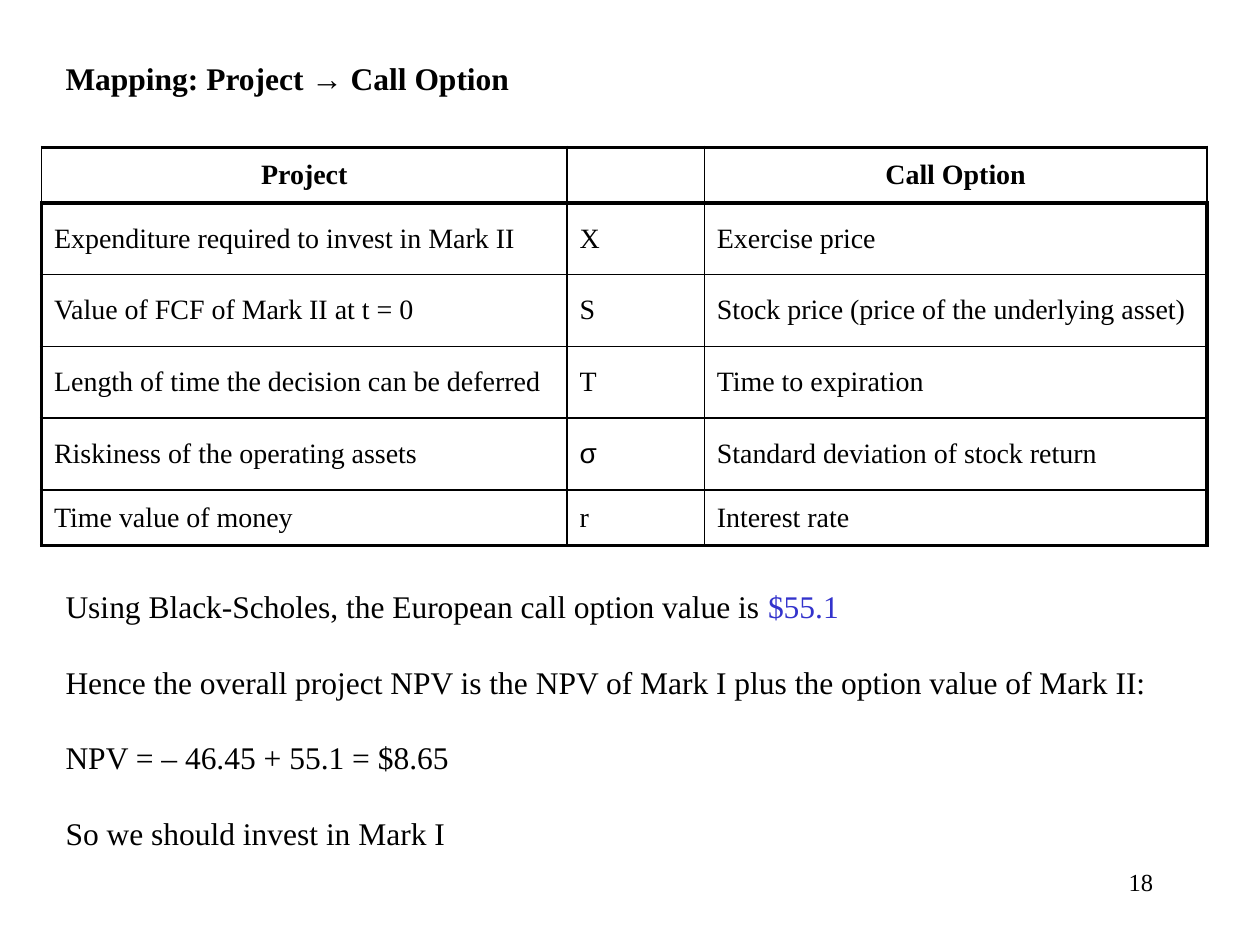
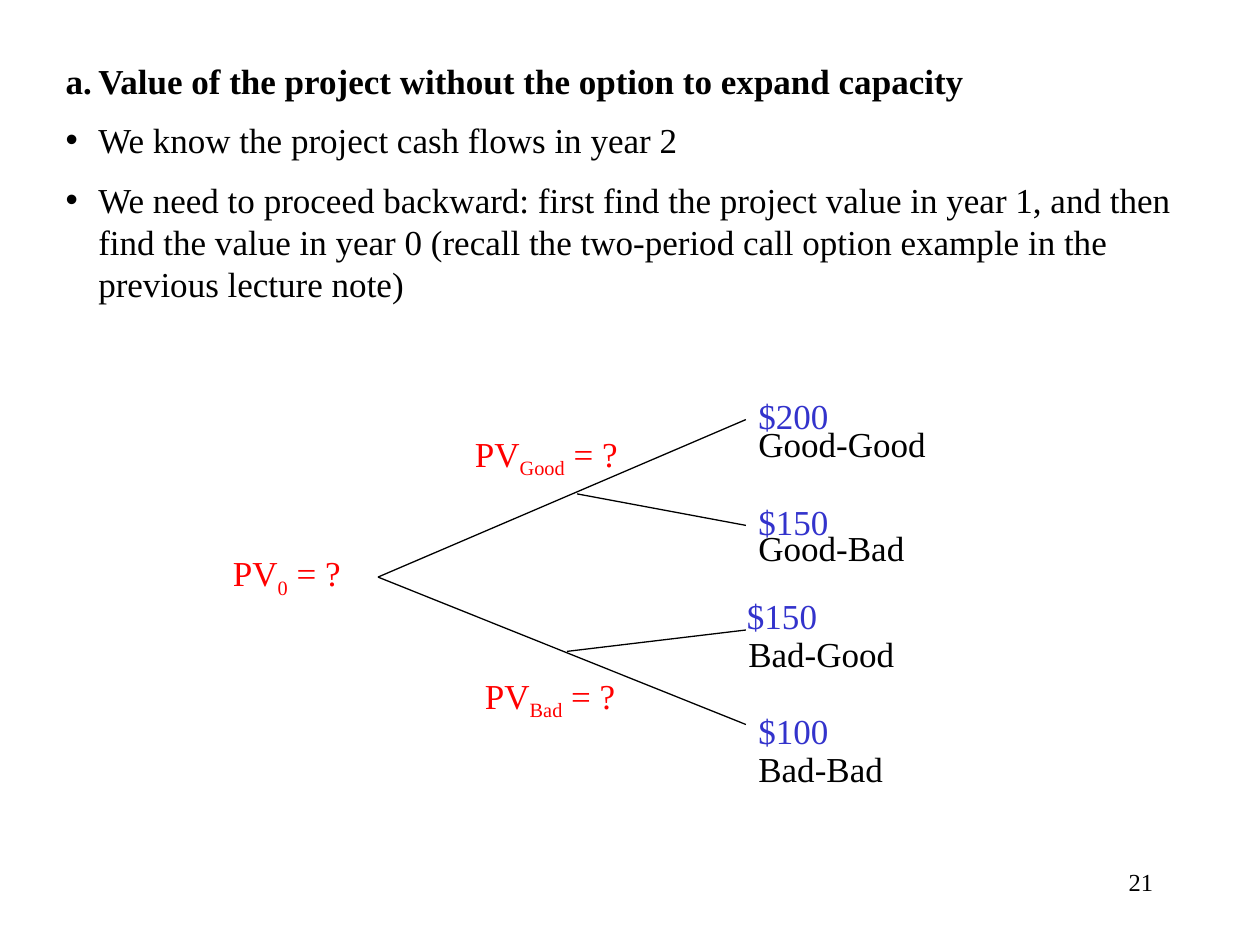
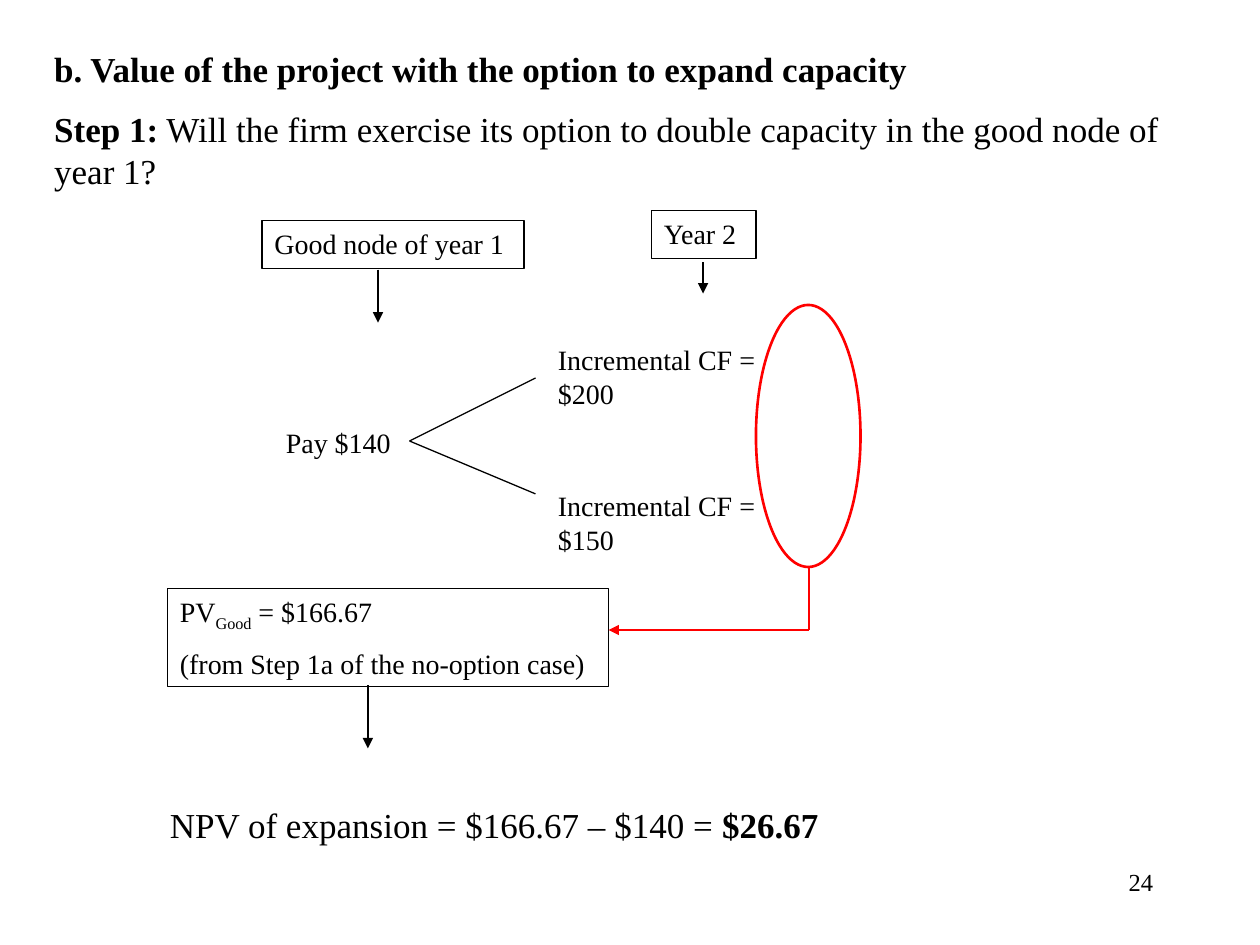
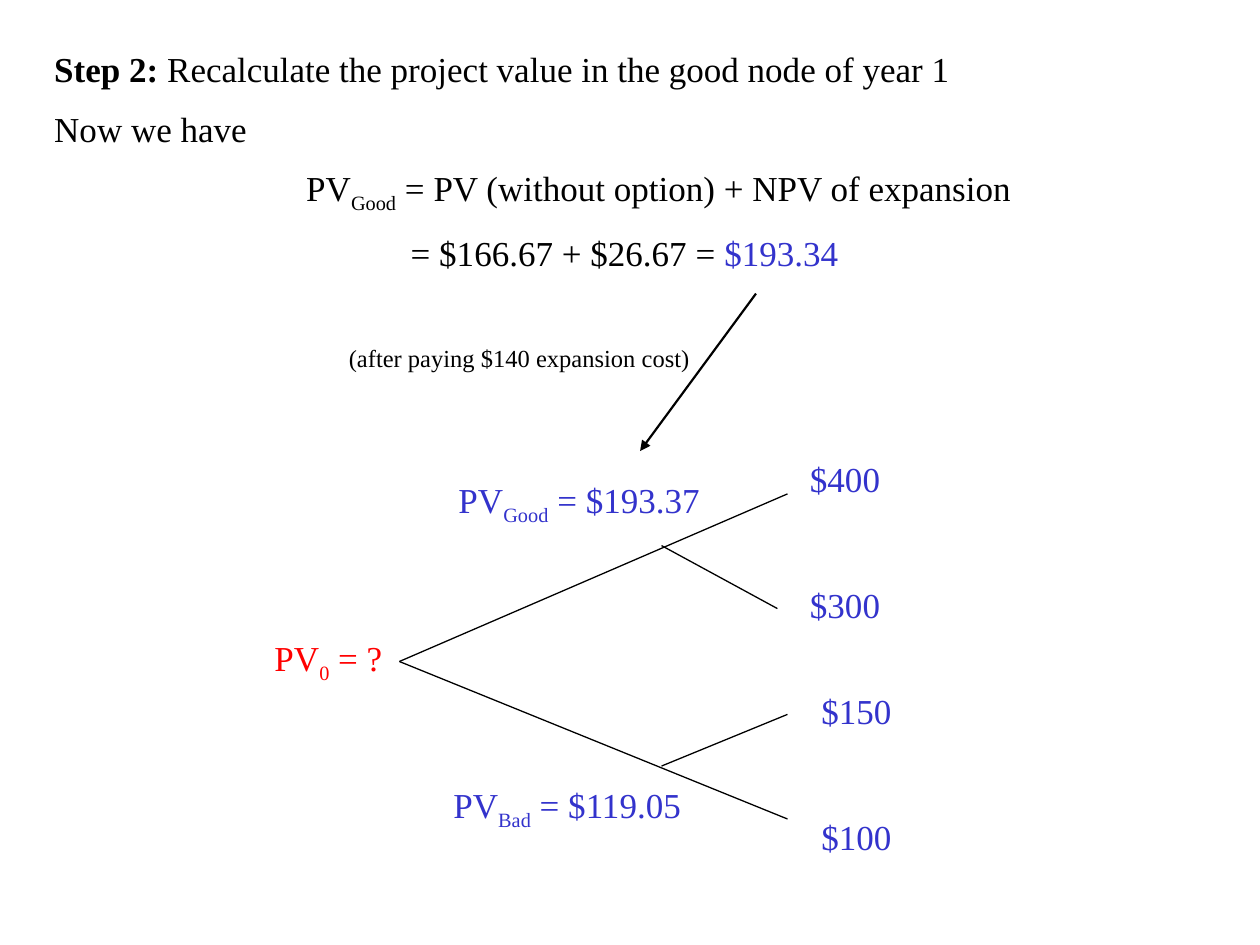
from dataclasses import dataclass

from lxml import etree
from pptx import Presentation
from pptx.dml.color import RGBColor
from pptx.enum.shapes import MSO_CONNECTOR, MSO_SHAPE
from pptx.enum.text import MSO_ANCHOR, MSO_AUTO_SIZE, PP_ALIGN
from pptx.oxml.ns import qn
from pptx.util import Inches, Pt

BLACK = RGBColor(0x00, 0x00, 0x00)
BLUE = RGBColor(0x33, 0x33, 0xCC)
RED = RGBColor(0xFF, 0x00, 0x00)

SERIF = "Times New Roman"
TITLE_HEIGHT = 0.43
THIN, THICK = 1, 2.25


@dataclass
class Run:
    text: str
    color: RGBColor = None
    bold: bool = None
    sub: bool = False
    font: str = SERIF


@dataclass
class Para:
    runs: list
    indent: float = 0
    hanging: float = 0
    bullet: str = None
    numbering: str = None
    tab: float = None
    align: PP_ALIGN = PP_ALIGN.LEFT


def pv(node, value, indent=0):
    """Present value of a node, with the node's name as a subscript."""
    return Para(["PV", Run(node, sub=True), f" = {value}"], indent=indent)


class Deck:
    def __init__(self):
        self.prs = Presentation()
        self.prs.slide_width, self.prs.slide_height = Inches(10), Inches(7.5)
        self.slide = None

    def new_slide(self, number=None):
        self.slide = self.prs.slides.add_slide(self.prs.slide_layouts[1])
        if number:
            self.text(7.17, 6.83, 2.08, 0.5,
                      [Para([str(number)], align=PP_ALIGN.RIGHT)], size=14)

    # Text
    def set_text(self, frame, paras, size, color=BLACK, bold=False, gap=None):
        frame.word_wrap = True
        for i, para in enumerate(paras):
            para = para if isinstance(para, Para) else Para([para])
            p = frame.paragraphs[0] if i == 0 else frame.add_paragraph()
            p.alignment = para.align
            p.space_before = Pt(0 if i == 0 else gap or size / 2)
            self.format_paragraph(p._p.get_or_add_pPr(), para)
            for item in para.runs:
                item = item if isinstance(item, Run) else Run(item)
                run = p.add_run()
                run.text = item.text
                run.font.name, run.font.size = item.font, Pt(size)
                run.font.bold = bold if item.bold is None else item.bold
                run.font.color.rgb = item.color or color
                if item.sub:
                    run._r.get_or_add_rPr().set("baseline", "-25000")

    def format_paragraph(self, props, para):
        props.set("marL", str(Inches(para.indent)))
        props.set("indent", str(Inches(-para.hanging)))
        if para.numbering:
            etree.SubElement(props, qn("a:buAutoNum"), type=para.numbering)
        elif para.bullet:
            etree.SubElement(props, qn("a:buChar"), char=para.bullet)
        else:
            etree.SubElement(props, qn("a:buNone"))
        if para.tab:
            tabs = etree.SubElement(props, qn("a:tabLst"))
            etree.SubElement(tabs, qn("a:tab"), pos=str(Inches(para.tab)), algn="l")

    def place(self, shape, x, y, w, h):
        shape.left, shape.top = Inches(x), Inches(y)
        shape.width, shape.height = Inches(w), Inches(h)
        shape.text_frame.vertical_anchor = MSO_ANCHOR.TOP
        shape.text_frame.auto_size = MSO_AUTO_SIZE.NONE

    def title(self, x, y, w, para, size=20):
        shape = self.slide.shapes.title
        self.place(shape, x, y, w, TITLE_HEIGHT)
        self.set_text(shape.text_frame, [para], size, bold=True)

    def body(self, x, y, w, h, paras, size=20, gap=None):
        shape = self.slide.placeholders[1]
        self.place(shape, x, y, w, h)
        self.set_text(shape.text_frame, paras, size, gap=gap)

    def text(self, x, y, w, h, paras, size=20, color=BLACK):
        box = self.slide.shapes.add_textbox(Inches(x), Inches(y), Inches(w), Inches(h))
        self.set_text(box.text_frame, paras, size, color)

    def label(self, x, y, w, para, color=BLACK, size=20):
        self.text(x, y, w, 0.1 + size / 60, [para], size, color)

    # Shapes and lines
    def outline(self, kind, x, y, w, h, color=BLACK, width=0.75, paras=()):
        shape = self.slide.shapes.add_shape(
            kind, Inches(x), Inches(y), Inches(w), Inches(h))
        shape.shadow.inherit = False
        shape.fill.background()
        shape.line.color.rgb, shape.line.width = color, Pt(width)
        shape.text_frame.vertical_anchor = MSO_ANCHOR.TOP
        self.set_text(shape.text_frame, paras, 16)

    def line(self, start, end, color=BLACK, width=0.75, arrow=False):
        ends = [Inches(v) for v in (*start, *end)]
        line = self.slide.shapes.add_connector(MSO_CONNECTOR.STRAIGHT, *ends)
        line.line.color.rgb, line.line.width = color, Pt(width)
        if arrow:
            etree.SubElement(line.get_or_add_ln(), qn("a:tailEnd"), type="triangle")
        etree.SubElement(line._element.spPr, qn("a:effectLst"))

    # Table
    def table(self, x, y, widths, heights, rows):
        table = self.slide.shapes.add_table(
            len(rows), len(widths), Inches(x), Inches(y),
            Inches(sum(widths)), Inches(sum(heights))).table
        table.first_row = table.horz_banding = False
        for column, width in zip(table.columns, widths):
            column.width = Inches(width)
        for row, height in zip(table.rows, heights):
            row.height = Inches(height)
        last_row, last_col = len(rows) - 1, len(widths) - 1
        for r, row in enumerate(rows):
            header = r == 0
            align = PP_ALIGN.CENTER if header else PP_ALIGN.LEFT
            for c, content in enumerate(row):
                cell = table.cell(r, c)
                cell.vertical_anchor = MSO_ANCHOR.MIDDLE
                if content:
                    self.set_text(cell.text_frame, [Para([content], align=align)],
                                  16, bold=header)
                self.borders(cell, {"L": c == 0 and not header,
                                    "R": c == last_col and not header,
                                    "T": r <= 1,
                                    "B": r in (0, last_row)})
                cell.fill.background()

    def borders(self, cell, thick):
        props = cell._tc.get_or_add_tcPr()
        for side, is_thick in thick.items():
            width = str(Pt(THICK if is_thick else THIN))
            edge = etree.SubElement(props, qn(f"a:ln{side}"), w=width)
            fill = etree.SubElement(edge, qn("a:solidFill"))
            etree.SubElement(fill, qn("a:srgbClr"), val=str(BLACK))


deck = Deck()

# Slide 1: project mapped to a call option
deck.new_slide(18)
deck.title(0.42, 0.42, 9.08, "Mapping: Project → Call Option", size=18)
deck.body(0.42, 4.61, 9.08, 2.22, [
    Para(["Using Black-Scholes, the European call option value is ",
          Run("$55.1", BLUE)]),
    "Hence the overall project NPV is the NPV of Mark I plus the option value of Mark II:",
    "NPV = – 46.45 + 55.1 = $8.65",
    "So we should invest in Mark I",
], size=18, gap=21.6)
deck.table(0.33, 1.17, [4.17, 1.09, 3.99], [0.44] + [0.57] * 4 + [0.44], [
    ("Project", "", "Call Option"),
    ("Expenditure required to invest in Mark II", "X", "Exercise price"),
    ("Value of FCF of Mark II at t = 0", "S",
     "Stock price (price of the underlying asset)"),
    ("Length of time the decision can be deferred", "T", "Time to expiration"),
    ("Riskiness of the operating assets", Run("σ", font="Arial"),
     "Standard deviation of stock return"),
    ("Time value of money", "r", "Interest rate"),
])

# Slide 2: value without the option
deck.new_slide(21)
deck.title(0.42, 0.42, 9.17, Para(
    ["Value of the project without the option to expand capacity"],
    indent=0.26, hanging=0.26, numbering="alphaLcPeriod"))
deck.body(0.42, 0.89, 9.17, 1.6, [
    Para([item], indent=0.26, hanging=0.26, bullet="•") for item in (
        "We know the project cash flows in year 2",
        "We need to proceed backward: first find the project value in year 1, "
        "and then find the value in year 0 (recall the two-period call option "
        "example in the previous lecture note)")
])
for x, y, w, node in ((1.75, 4.33, 1.08, "0"),
                      (3.67, 3.38, 1.5, "Good"),
                      (3.75, 5.3, 1.5, "Bad")):
    deck.label(x, y, w, pv(node, "?"), RED)
for x, y, amount, name_x, name_y, name in (
        (5.92, 3.08, "$200", 5.92, 3.3, "Good-Good"),
        (5.92, 3.92, "$150", 5.92, 4.13, "Good-Bad"),
        (5.83, 4.67, "$150", 5.84, 4.97, "Bad-Good"),
        (5.92, 5.58, "$100", 5.92, 5.88, "Bad-Bad")):
    deck.label(x, y, 1.75, amount, BLUE)
    deck.label(name_x, name_y, 1.58, name)
for start, end in (((3, 4.58), (5.92, 3.33)), ((3, 4.58), (5.92, 5.75)),
                   ((4.58, 3.92), (5.92, 4.17)), ((4.5, 5.17), (5.92, 5))):
    deck.line(start, end)

# Slide 3: exercising the option in the good node
deck.new_slide(24)
deck.title(0.33, 0.33, 9.25, "b. Value of the project with the option to expand capacity")
deck.body(0.33, 0.8, 9.25, 0.8, [Para([
    Run("Step 1:", bold=True),
    " Will the firm exercise its option to double capacity in the good node of year 1?"])])
deck.label(2.17, 3.33, 1.25, "Pay $140", size=16)
for y, amount, branch_y in ((2.67, "$200", 3), (3.83, "$150", 3.92)):
    deck.label(4.33, y, 2.42, Para([f"Incremental CF =\t{amount}"], tab=1.73), size=16)
    deck.line((3.25, 3.5), (4.25, branch_y))
deck.outline(MSO_SHAPE.RECTANGLE, 5.17, 1.67, 0.83, 0.38, paras=["Year 2"])
deck.outline(MSO_SHAPE.RECTANGLE, 2.08, 1.75, 2.08, 0.38, paras=["Good node of year 1"])
deck.outline(MSO_SHAPE.RECTANGLE, 1.33, 4.67, 3.5, 0.78, paras=[
    pv("Good", "$166.67"), "(from Step 1a of the no-option case)"])
deck.outline(MSO_SHAPE.OVAL, 6, 2.42, 0.83, 2.08, RED, 1.5)
for x, top, bottom in ((3, 2.14, 2.56), (5.58, 2.08, 2.33), (2.92, 5.44, 5.94)):
    deck.line((x, top), (x, bottom), arrow=True)
deck.line((6.42, 4.5), (6.42, 5), RED, 1.25)
deck.line((6.42, 5), (4.83, 5), RED, 1.25, arrow=True)
deck.label(1.25, 6.33, 6, Para(["NPV of expansion = $166.67 – $140 = ",
                                Run("$26.67", bold=True)]))

# Slide 4: project value recalculated
deck.new_slide()
deck.title(0.33, 0.33, 9, Para([
    "Step 2:", Run(" Recalculate the project value in the good node of year 1", bold=False)]))
deck.body(0.33, 0.8, 9, 1.46, [
    "Now we have",
    pv("Good", "PV (without option) + NPV of expansion", indent=2),
    Para(["= $166.67 + $26.67 = ", Run("$193.34", BLUE)], indent=2.83),
])
deck.label(2.08, 5, 1.08, pv("0", "?"), RED)
deck.label(3.54, 3.75, 2.29, pv("Good", "$193.37"), BLUE)
deck.label(3.5, 6.17, 2.17, pv("Bad", "$119.05"), BLUE)
for x, y, amount in ((6.33, 3.58, "$400"), (6.33, 4.58, "$300"),
                     (6.42, 5.42, "$150"), (6.42, 6.42, "$100")):
    deck.label(x, y, 1.25, amount, BLUE)
for start, end in (((3.17, 5.25), (6.25, 6.5)), ((3.17, 5.25), (6.25, 3.92)),
                   ((5.25, 4.33), (6.17, 4.83)), ((5.25, 6.08), (6.25, 5.67))):
    deck.line(start, end)
deck.line((6, 2.33), (5.08, 3.58), width=1.25, arrow=True)
deck.label(2.67, 2.67, 2.92, "(after paying $140 expansion cost)", size=14)

deck.prs.save("out.pptx")
